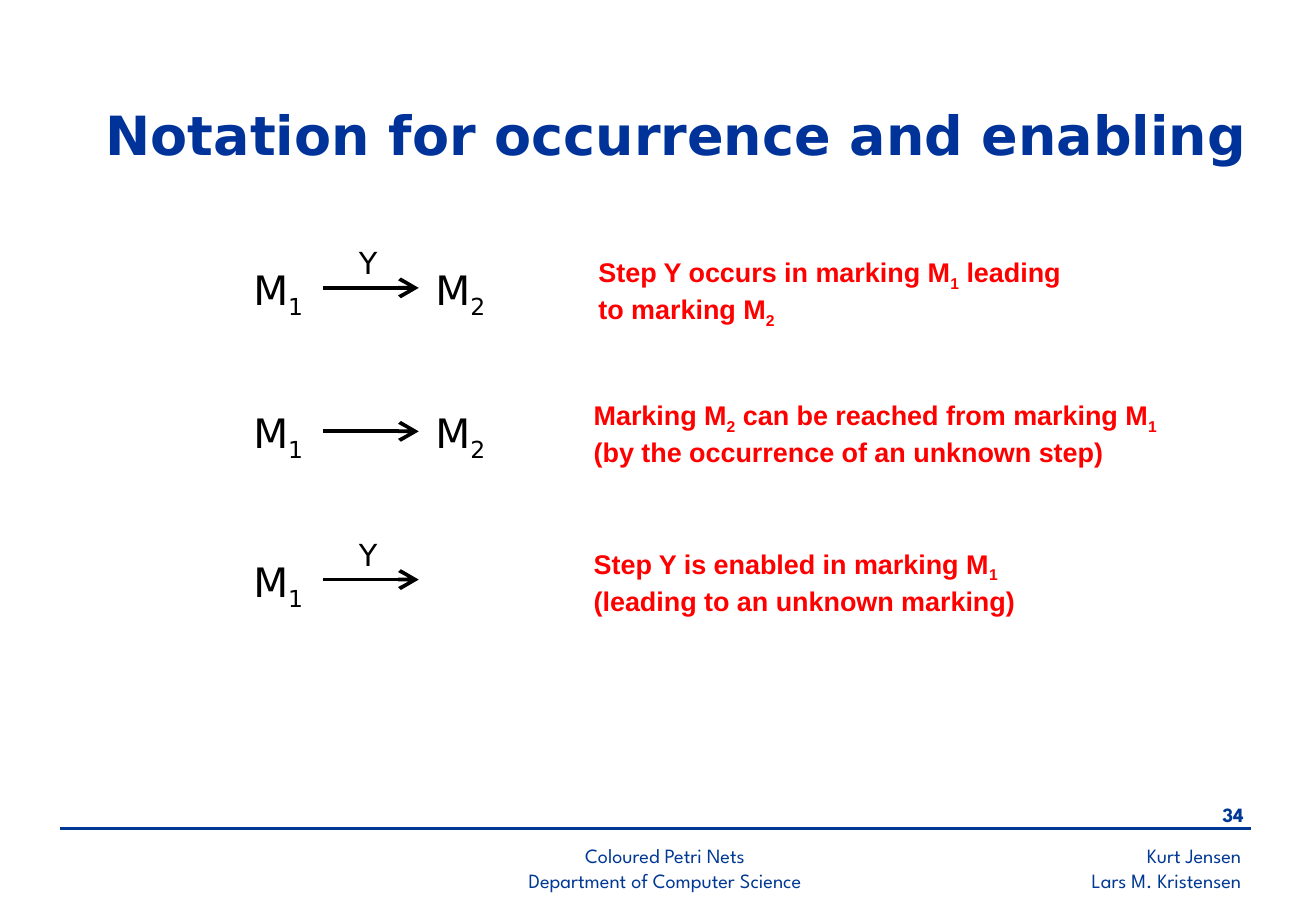
from dataclasses import dataclass

from lxml.etree import SubElement
from pptx import Presentation
from pptx.dml.color import RGBColor
from pptx.enum.shapes import MSO_CONNECTOR
from pptx.enum.text import MSO_ANCHOR, PP_ALIGN
from pptx.oxml.ns import qn
from pptx.util import Cm, Pt


@dataclass(frozen=True)
class Style:
    font: str
    size: float
    color: str
    bold: bool = False


@dataclass(frozen=True)
class Theme:
    title: Style = Style("DejaVu Sans", 32, "003399", True)
    mark: Style = Style("DejaVu Sans", 24, "000000")
    step: Style = Style("DejaVu Sans", 18, "000000")
    note: Style = Style("Arial", 16, "FF0000", True)
    foot: Style = Style("League Spartan", 12, "003893")
    page: Style = Style("League Spartan", 12, "003893", True)


THEME = Theme()


def add_runs(para, text):
    """Fill a paragraph; the character after each "_" is a subscript."""
    first, *rest = text.split("_")
    pieces = [(first, False)]
    for part in rest:
        pieces += [(part[0], True), (part[1:], False)]
    for piece, sub in pieces:
        if piece:
            run = para.add_run()
            run.text = piece
            if sub:
                run.font._element.set("baseline", "-25000")


def add_text(slide, box, lines, style, align=PP_ALIGN.LEFT,
             anchor=MSO_ANCHOR.TOP, spacing=1.0):
    frame = slide.shapes.add_textbox(*map(Cm, box)).text_frame
    frame.word_wrap = True
    frame.vertical_anchor = anchor
    for i, line in enumerate(lines):
        para = frame.add_paragraph() if i else frame.paragraphs[0]
        add_runs(para, line)
        para.alignment = align
        para.line_spacing = spacing
        font = para.font
        font.name, font.size, font.bold = style.font, Pt(style.size), style.bold
        font.color.rgb = RGBColor.from_string(style.color)


def add_line(slide, left, right, y, color, width, arrow=False):
    line = slide.shapes.add_connector(
        MSO_CONNECTOR.STRAIGHT, Cm(left), Cm(y), Cm(right), Cm(y))
    line.line.color.rgb = RGBColor.from_string(color)
    line.line.width = Pt(width)
    if arrow:
        SubElement(line.line._get_or_add_ln(), qn("a:tailEnd"),
                   type="arrow", w="lg", len="lg")
    SubElement(line._element.spPr, qn("a:effectLst"))


def add_title(slide, box, text):
    add_text(slide, box, [text], THEME.title, anchor=MSO_ANCHOR.MIDDLE)


def add_row(slide, box, source, step, target, note, shift=0):
    """Place one notation on the left and its meaning on the right."""
    left, top, width, height = box
    # Markings before and after the arrow
    for x, mark in ((left, source), (left + 3.81, target)):
        if mark:
            add_text(slide, (x, top + 0.39, 1.8, 1.19), [mark], THEME.mark,
                     spacing=0.8)
    # Arrow with its step
    add_line(slide, left + 1.71, left + 3.71, top + 0.89,
             THEME.mark.color, 2.25, arrow=True)
    if step:
        add_text(slide, (left + 2.21, top, 1.09, 1.19), [step], THEME.step,
                 spacing=0.8)
    # Meaning
    x = left + 7.12 + shift
    add_text(slide, (x, top + 0.09, left + width - x, height), [note],
             THEME.note)


def add_footer(slide, box, number, centre, authors):
    left, top, width, height = box
    right = left + width
    # Page number above the rule
    add_text(slide, (right - 1.7, top - 0.66, 1.8, 0.84), [number], THEME.page,
             PP_ALIGN.RIGHT)
    add_line(slide, left, right, top, THEME.foot.color, 1.5)
    # Course and authors below the rule
    add_text(slide, (left + 7.42, top + 0.2, 10.49, height), centre,
             THEME.foot, PP_ALIGN.CENTER)
    add_text(slide, (right - 8.51, top + 0.2, 8.56, height), authors,
             THEME.foot, PP_ALIGN.RIGHT)


def main():
    deck = Presentation()
    deck.slide_width, deck.slide_height = Cm(27.53), Cm(19.05)
    slide = deck.slides.add_slide(deck.slide_layouts[6])

    add_title(slide, (1.96, 1.93, 24.64, 1.75),
              "Notation for occurrence and enabling")

    add_row(slide, (5.05, 5.13, 17.43, 1.8), "M_1", "Y", "M_2",
            "Step Y occurs in marking M_1 leading to marking M_2", shift=0.1)
    add_row(slide, (5.05, 8.13, 19.62, 1.7), "M_1", "", "M_2",
            "Marking M_2 can be reached from marking M_1 "
            "(by the occurrence of an unknown step)")
    add_row(slide, (5.05, 11.23, 16.82, 1.7), "M_1", "Y", "",
            "Step Y is enabled in marking M_1 (leading to an unknown marking)")

    add_footer(slide, (1.25, 17.32, 24.92, 1.25), "34",
               ["Coloured Petri Nets", "Department of Computer Science"],
               ["Kurt Jensen", "Lars M. Kristensen"])
    deck.save("out.pptx")


if __name__ == "__main__":
    main()
